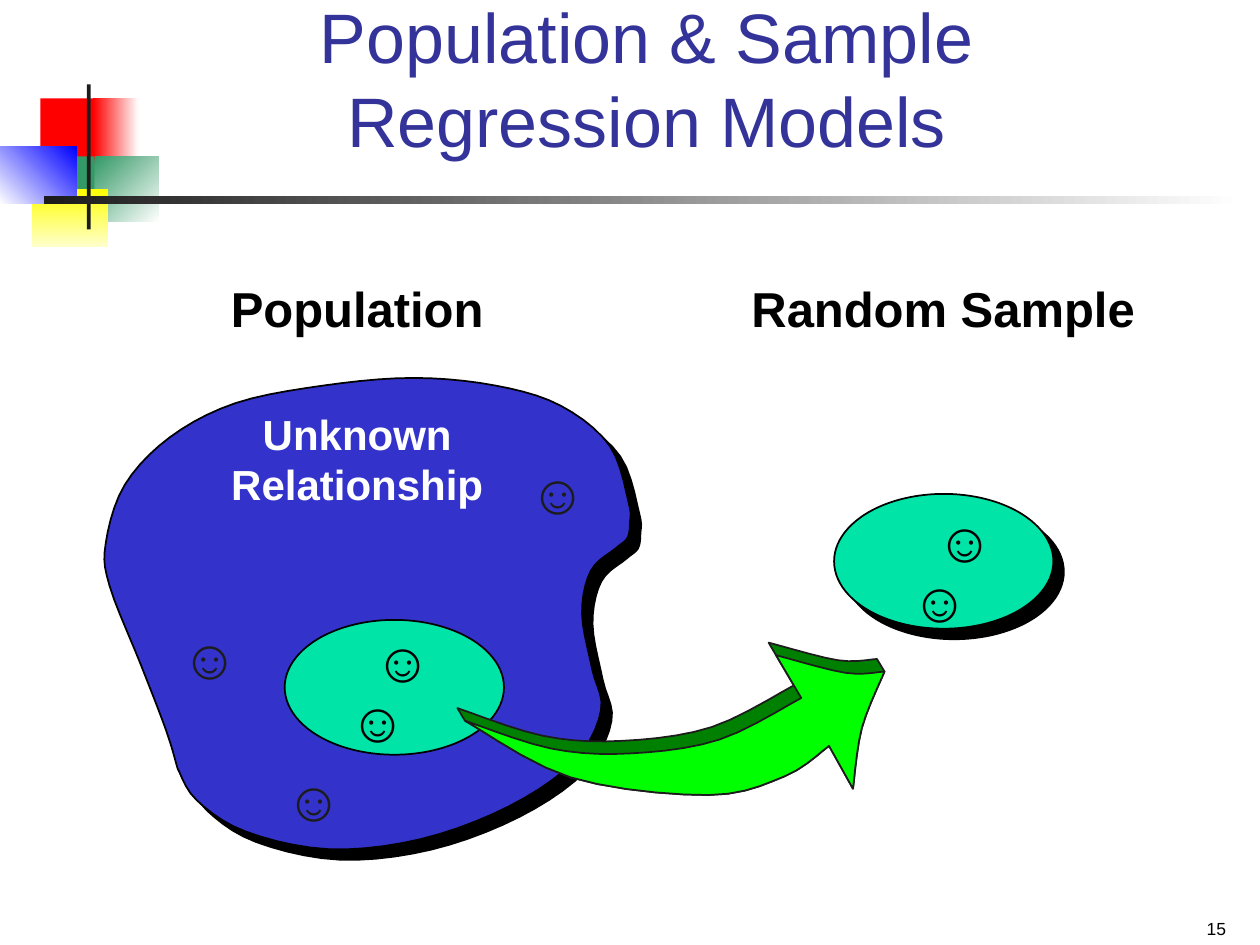
from typing import NamedTuple

from lxml.etree import SubElement
from pptx import Presentation
from pptx.dml.color import RGBColor
from pptx.enum.shapes import MSO_SHAPE as Preset
from pptx.enum.text import MSO_ANCHOR as Anchor, MSO_AUTO_SIZE as AutoSize, PP_ALIGN as Align
from pptx.oxml.ns import qn
from pptx.util import Inches, Pt


class Point(NamedTuple):
    x: float
    y: float


class Block(NamedTuple):
    left: float
    top: float
    width: float
    height: float
    start: str
    end: str = ""
    angle: int = 0


class Label(NamedTuple):
    text: str
    left: float
    top: float
    width: float
    height: float
    size: int
    color: str


class Sample(NamedTuple):
    left: float
    top: float
    upper_face: Point
    shadow: bool


BLACK, WHITE, INK = "000000", "FFFFFF", "1C1C1C"
BLUE, MINT, GREEN, DARK_GREEN = "3333CC", "00E4A8", "00FF00", "008000"
CURVE_STEPS = 5
ARROW_DEPTH = Point(-0.06, -0.1)
LOWER_FACE_SHIFT = Point(-0.2, 0.48)

ORNAMENT = [
    Block(0.32, 0.78, 0.48, 0.52, "FF0000"),
    Block(0.74, 0.78, 0.36, 0.52, "FF0000", WHITE),
    Block(0.75, 1.24, 0.51, 0.52, "339966", WHITE, 45),
    Block(0.43, 1.24, 0.32, 0.52, "339966"),
    Block(0.25, 1.5, 0.61, 0.46, "FFFF00", "FFFFCC", 90),
    Block(0, 1.16, 0.61, 0.46, WHITE, "0000FF", 315),
    Block(0.69, 0.67, 0.03, 1.15, INK),
    Block(0.35, 1.56, 9.51, 0.06, INK, WHITE),
]

LABELS = [
    Label("Unknown Relationship", 1.71, 3.19, 2.25, 0.91, 24, WHITE),
    Label("Population", 1.71, 2.16, 2.25, 0.56, 28, BLACK),
    Label("Random Sample", 5.78, 2.16, 3.41, 0.56, 28, BLACK),
]

SAMPLES = [
    Sample(6.62, 3.92, Point(7.31, 3.97), shadow=True),
    Sample(2.26, 4.92, Point(2.85, 4.92), shadow=False),
]
UNSAMPLED_FACES = [Point(1.32, 4.9), Point(4.08, 3.59), Point(2.14, 6.03)]

POPULATION_BOTTOM = [(1.41, 6.1), (1.56, 6.35), (1.95, 6.6), (2.61, 6.74), (3.34, 6.66),
                     (4.04, 6.4), (4.56, 6.04), (4.77, 5.64)]
POPULATION_RIGHT = [(4.7, 5.31), (4.62, 4.87), (4.69, 4.53), (4.89, 4.35), (4.98, 4.27),
                    (5, 4.15), (4.99, 3.99), (4.84, 3.54)]
POPULATION_TOP = [(4.45, 3.22), (3.93, 3.06), (3.28, 3), (2.57, 3.06), (1.87, 3.2), (1.35, 3.47)]
POPULATION_LEFT = [(0.99, 3.85), (0.84, 4.31), (0.87, 4.65), (1.12, 5.28), (1.32, 5.8), (1.41, 6.1)]

ARROW_TAIL, ARROW_TIP = (3.69, 5.72), (7.02, 5.33)
LOWER_BARB, UPPER_BARB, UPPER_NOTCH = (6.77, 6.26), (6.16, 5.2), (6.36, 5.54)
SHAFT_BELOW = [ARROW_TAIL, (4.53, 6.17), (5.62, 6.31), (6.23, 6.16), (6.58, 5.92)]
HEAD_BELOW = [LOWER_BARB, (6.84, 5.78), ARROW_TIP]
HEAD_ABOVE = [ARROW_TIP, (6.71, 5.34), UPPER_BARB]
SHAFT_ABOVE = [UPPER_NOTCH, (5.71, 5.87), (5, 5.98), (4.37, 5.94), ARROW_TAIL]


def rgb(value: str) -> RGBColor:
    return RGBColor.from_string(value)


def spline(before: float, start: float, end: float, after: float, t: float) -> float:
    return start + t / 2 * (end - before
                            + t * (2 * before - 5 * start + 4 * end - after)
                            + t * t * (3 * (start - end) + after - before))


def smooth(anchors: list) -> list[Point]:
    padded = [anchors[0], *anchors, anchors[-1]]
    curve = [Point(*anchors[0])]
    for quad in zip(padded, padded[1:], padded[2:], padded[3:]):
        xs, ys = zip(*quad)
        for step in range(1, CURVE_STEPS + 1):
            t = step / CURVE_STEPS
            curve.append(Point(spline(*xs, t), spline(*ys, t)))
    return curve


def shift(point: Point, offset: Point) -> Point:
    return Point(point.x + offset.x, point.y + offset.y)


def write(frame, text: str, *, size: int, color: str, bold: bool = False,
          align=Align.CENTER, anchor=Anchor.TOP, wrap: bool = True) -> None:
    frame.auto_size = AutoSize.NONE
    frame.word_wrap = wrap
    frame.vertical_anchor = anchor
    paragraph = frame.paragraphs[0]
    paragraph.alignment = align
    run = paragraph.add_run()
    run.text = text
    run.font.name = "Arial"
    run.font.size = Pt(size)
    run.font.bold = bold
    run.font.color.rgb = rgb(color)


def add_text(slide, text: str, left: float, top: float, width: float, height: float, **style) -> None:
    box = slide.shapes.add_textbox(Inches(left), Inches(top), Inches(width), Inches(height))
    write(box.text_frame, text, **style)


def add_block(slide, block: Block) -> None:
    shape = slide.shapes.add_shape(Preset.RECTANGLE, *map(Inches, block[:4]))
    shape.shadow.inherit = False
    shape.line.fill.background()
    if not block.end:
        shape.fill.solid()
        shape.fill.fore_color.rgb = rgb(block.start)
        return
    shape.fill.gradient()
    shape.fill.gradient_angle = 360 - block.angle
    for stop, color in zip(shape.fill.gradient_stops, (block.start, block.end)):
        stop.color.rgb = rgb(color)


def paint(shape, fill: str, line: str, shadow: bool = False) -> None:
    shape.fill.solid()
    shape.fill.fore_color.rgb = rgb(fill)
    shape.line.color.rgb = rgb(line)
    shape.line.width = Pt(1)
    shape.shadow.inherit = False
    if shadow:
        effects = shape._element.spPr.find(qn("a:effectLst"))
        outer = SubElement(effects, qn("a:outerShdw"), dist=str(Pt(8.5)), dir="2700000",
                           algn="ctr", rotWithShape="0")
        SubElement(outer, qn("a:srgbClr"), val=BLACK)


def add_outline(slide, points: list[Point], fill: str, line: str, shadow: bool = False) -> None:
    start, *rest = [(Inches(x), Inches(y)) for x, y in points]
    builder = slide.shapes.build_freeform(*start)
    builder.add_line_segments(rest, close=True)
    paint(builder.convert_to_shape(), fill, line, shadow)


def add_face(slide, place: Point, color: str) -> None:
    add_text(slide, "☺", *place, 0.7, 0.63, size=32, color=color, bold=True, wrap=False)


def add_sample(slide, sample: Sample) -> None:
    oval = slide.shapes.add_shape(Preset.OVAL, Inches(sample.left), Inches(sample.top),
                                  Inches(1.74), Inches(1.07))
    paint(oval, MINT, BLACK, sample.shadow)
    add_face(slide, sample.upper_face, BLACK)
    add_face(slide, shift(sample.upper_face, LOWER_FACE_SHIFT), BLACK)


def add_arrow(slide) -> None:
    front_edge = smooth(SHAFT_BELOW) + smooth(HEAD_BELOW)
    back_edge = smooth(HEAD_ABOVE) + smooth(SHAFT_ABOVE)
    raised_edge = [shift(point, ARROW_DEPTH) for point in back_edge]
    add_outline(slide, front_edge + raised_edge, DARK_GREEN, INK)
    add_outline(slide, front_edge + back_edge, GREEN, INK)


def main() -> None:
    deck = Presentation()
    deck.slide_width, deck.slide_height = Inches(10), Inches(7.5)
    slide = deck.slides.add_slide(deck.slide_layouts[5])

    for block in ORNAMENT:
        add_block(slide, block)
    title = slide.shapes.title
    title.left, title.top, title.width, title.height = map(Inches, (1.26, 0.25, 7.74, 1.08))
    write(title.text_frame, "Population & Sample Regression Models",
          size=40, color="333399", anchor=Anchor.BOTTOM)
    add_text(slide, "15", 7.5, 7.15, 2.33, 0.35, size=10, color=BLACK,
             align=Align.RIGHT, anchor=Anchor.BOTTOM)

    population = smooth(POPULATION_BOTTOM + POPULATION_RIGHT + POPULATION_TOP + POPULATION_LEFT)
    add_outline(slide, population, BLUE, BLACK, shadow=True)
    for label in LABELS:
        add_text(slide, *label[:5], size=label.size, color=label.color, bold=True)
    for sample in SAMPLES:
        add_sample(slide, sample)
    for place in UNSAMPLED_FACES:
        add_face(slide, place, INK)
    add_arrow(slide)

    deck.save("out.pptx")


if __name__ == "__main__":
    main()
